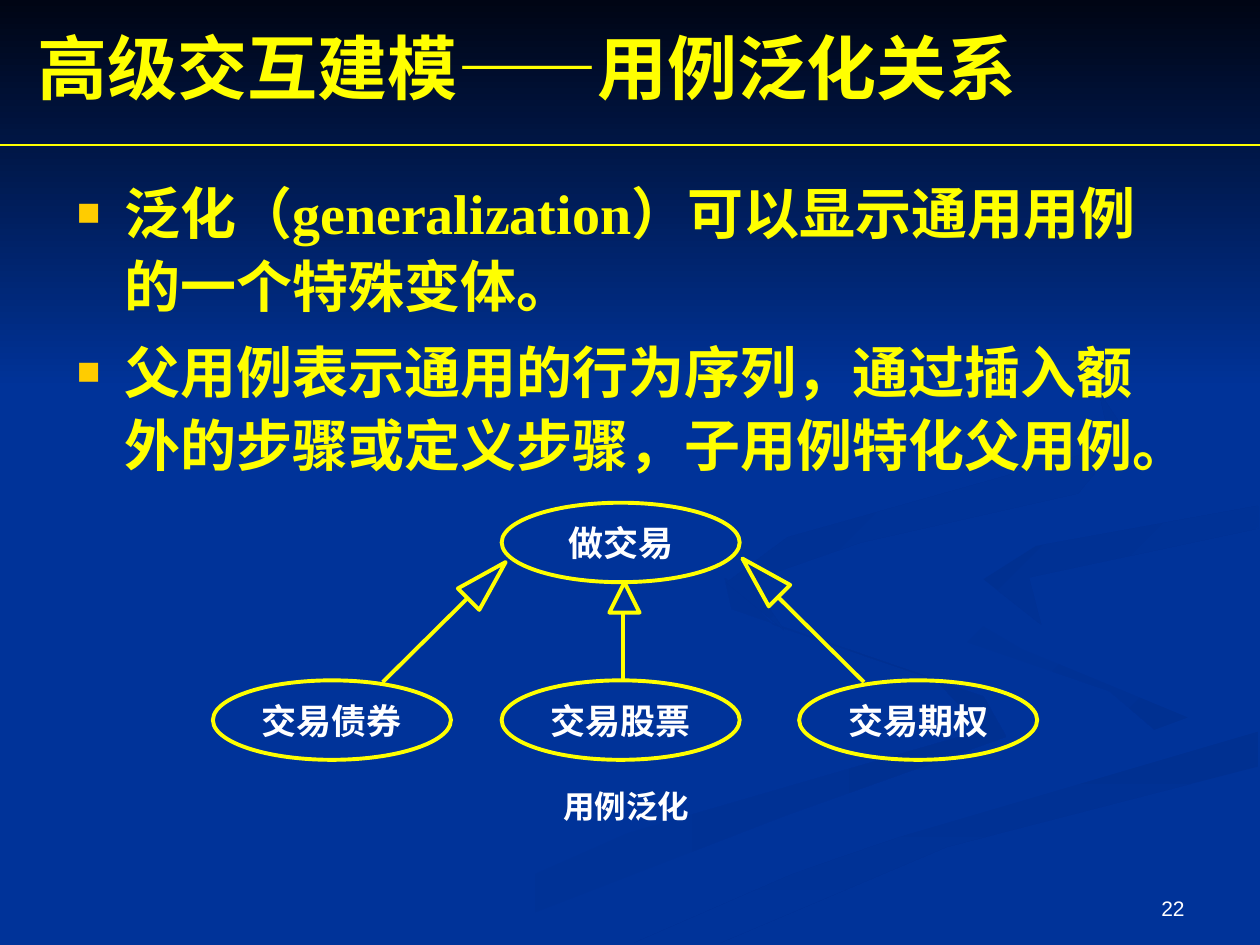
from dataclasses import dataclass

from lxml.etree import SubElement
from pptx import Presentation
from pptx.dml.color import RGBColor
from pptx.enum.shapes import MSO_CONNECTOR as Connector, MSO_SHAPE as Shape
from pptx.enum.text import MSO_ANCHOR as Anchor, MSO_AUTO_SIZE as AutoSize, PP_ALIGN as Align
from pptx.oxml.ns import qn
from pptx.util import Pt


@dataclass(frozen=True)
class Theme:
    blue: str = "003399"
    shade: str = "003091"
    night: str = "000514"
    yellow: str = "FFFF00"
    white: str = "FFFFFF"
    bullet: str = "FFCC00"
    serif: str = "Times New Roman"
    sans: str = "Arial"
    title: float = 40
    body: float = 32
    case: float = 20
    caption: float = 18
    number: float = 12
    hairline: float = 0.75
    stroke: float = 2.25


@dataclass(frozen=True)
class Box:
    left: float
    top: float
    width: float
    height: float

    def inner(self, x, y, width, height):
        return Box(self.left + x, self.top + y, width, height)

    def lengths(self):
        return [Pt(v) for v in (self.left, self.top, self.width, self.height)]


THEME = Theme()

RIBBONS = [
    (THEME.blue, THEME.shade, 0, [
        (562, 398), (442, 357), (414, 330), (418, 348), (534, 388), (562, 417),
        (359, 476), (216, 539), (260, 539), (449, 466), (575, 421)]),
    (THEME.blue, THEME.shade, 45, [
        (679, 410), (584, 371), (521, 334), (544, 364), (634, 395), (661, 418), (644, 436)]),
    (THEME.shade, THEME.blue, 90, [
        (362, 539), (411, 539), (541, 484), (719, 438), (719, 418), (550, 466), (454, 499)]),
    (THEME.blue, THEME.blue, 0, [
        (522, 334), (585, 371), (679, 410), (535, 463), (343, 539), (501, 482),
        (719, 418), (719, 387), (579, 349), (570, 322), (719, 279), (544, 311)]),
    (THEME.shade, THEME.blue, 45, [
        (562, 331), (595, 357), (588, 330), (719, 302), (719, 289), (592, 312)]),
    (THEME.shade, THEME.blue, 45, [
        (492, 310), (616, 282), (644, 248), (615, 204), (549, 168), (626, 215),
        (635, 255), (450, 307), (415, 333), (448, 360), (429, 332)]),
]


def rgb(color):
    return RGBColor.from_string(color)


def style(run, size, color, font=THEME.serif, bold=True):
    run.font.size, run.font.name, run.font.bold = Pt(size), font, bold
    run.font.color.rgb = rgb(color)


def paint(shape, start, end, angle):
    shape.shadow.inherit = False
    shape.line.fill.background()
    if start == end:
        shape.fill.solid()
        shape.fill.fore_color.rgb = rgb(start)
        return
    shape.fill.gradient()
    shape.fill.gradient_angle = (360 - angle) % 360
    for stop, color in zip(shape.fill.gradient_stops, (start, end)):
        stop.color.rgb = rgb(color)


def add_outline(slide, kind, box):
    outline = slide.shapes.add_shape(kind, *box.lengths())
    outline.shadow.inherit = False
    outline.fill.background()
    outline.line.color.rgb = rgb(THEME.yellow)
    outline.line.width = Pt(THEME.stroke)
    return outline


def add_line(slide, box, start, end, width):
    points = [Pt(v) for x, y in (start, end) for v in (box.left + x, box.top + y)]
    line = slide.shapes.add_connector(Connector.STRAIGHT, *points)
    line.line.color.rgb = rgb(THEME.yellow)
    line.line.width = Pt(width)
    SubElement(line.element.spPr, qn("a:effectLst"))


def add_label(slide, box, text, size, **font):
    label = slide.shapes.add_textbox(*box.lengths())
    label.text_frame.word_wrap = True
    label.text_frame.text = text
    style(label.text_frame.paragraphs[0].runs[0], size, THEME.white, **font)
    return label.text_frame


def place(slide, placeholder, box, anchor):
    slide.shapes.element.append(placeholder.element)
    placeholder.left, placeholder.top, placeholder.width, placeholder.height = box.lengths()
    frame = placeholder.text_frame
    frame.auto_size, frame.vertical_anchor, frame.word_wrap = AutoSize.NONE, anchor, True
    return frame


def build_backdrop(slide, box):
    slide.background.fill.solid()
    slide.background.fill.fore_color.rgb = rgb(THEME.blue)
    for start, end, angle, points in RIBBONS:
        (x, y), *rest = [(box.left + px, box.top + py) for px, py in points]
        builder = slide.shapes.build_freeform(x, y, scale=Pt(1))
        builder.add_line_segments(rest, close=True)
        paint(builder.convert_to_shape(), start, end, angle)
    sky = slide.shapes.add_shape(Shape.RECTANGLE, *box.inner(0, 0, box.width, 222).lengths())
    paint(sky, THEME.night, THEME.blue, 90)


def build_heading(slide, box):
    heading = place(slide, slide.shapes.title, box.inner(14.4, 10, 648, 55.5), Anchor.MIDDLE)
    paragraph = heading.paragraphs[0]
    paragraph.alignment = Align.LEFT
    for text, font in (("高级交互建模", THEME.serif), ("——", THEME.sans), ("用例泛化关系", THEME.serif)):
        run = paragraph.add_run()
        run.text = text
        style(run, THEME.title, THEME.yellow, font)
    add_line(slide, box, (0, box.height), (box.width, box.height), THEME.hairline)


def build_points(slide, box):
    points = place(slide, slide.placeholders[1], box, Anchor.TOP)
    points.text = ("泛化（generalization）可以显示通用用例的一个特殊变体。\n"
                   "父用例表示通用的行为序列，通过插入额外的步骤或定义步骤，子用例特化父用例。")
    for index, paragraph in enumerate(points.paragraphs):
        props = paragraph._p.get_or_add_pPr()
        props.set("marL", str(Pt(27)))
        props.set("indent", str(-Pt(27)))
        SubElement(SubElement(props, qn("a:buClr")), qn("a:srgbClr"), val=THEME.bullet)
        SubElement(props, qn("a:buSzPct"), val="70000")
        SubElement(props, qn("a:buChar"), char="■")
        paragraph.line_spacing = 1.1
        paragraph.space_before = Pt(THEME.body * 0.2 if index else 0)
        style(paragraph.runs[0], THEME.body, THEME.yellow)


def build_use_cases(slide, box):
    width, height = 136, 45.4
    middle, row = 165, 101.5
    cases = [("做交易", middle, 0), ("交易债券", 0, row),
             ("交易股票", middle, row), ("交易期权", box.width - width, row)]
    for name, x, y in cases:
        case = add_outline(slide, Shape.OVAL, box.inner(x, y, width, height))
        frame = case.text_frame
        frame.text, frame.word_wrap, frame.vertical_anchor = name, False, Anchor.MIDDLE
        frame.paragraphs[0].alignment = Align.CENTER
        style(frame.paragraphs[0].runs[0], THEME.case, THEME.white)
    add_label(slide, box.inner(193, 159, 96.5, 29), "用例泛化", THEME.caption)
    arrows = [(226.5, 45.5, 17.3, 0, (234.5, 63.5), 234.5),
              (148, 29.5, 30, 45, (145.5, 54.5), 97),
              (304.5, 27.5, 30, 315, (323, 54), 372)]
    for x, y, length, rotation, neck, tail in arrows:
        head = add_outline(slide, Shape.ISOSCELES_TRIANGLE, box.inner(x, y, 17.3, length))
        head.rotation = rotation
        add_line(slide, box, neck, (tail, row + 1), THEME.stroke)


def build_page_number(slide, box):
    number = add_label(slide, box, "22", THEME.number, font=THEME.sans, bold=False)
    number.vertical_anchor = Anchor.BOTTOM
    number.paragraphs[0].alignment = Align.RIGHT


def main():
    deck = Presentation()
    deck.slide_width, deck.slide_height = Pt(720), Pt(540)
    slide = deck.slides.add_slide(deck.slide_layouts[1])
    build_backdrop(slide, Box(0, 0, 720, 540))
    build_page_number(slide, Box(516, 492, 168, 37.5))
    build_heading(slide, Box(0, 0, 720, 82.8))
    build_points(slide, Box(36.7, 94.3, 648, 215.3))
    build_use_cases(slide, Box(121.7, 287.3, 471, 188))
    deck.save("out.pptx")


if __name__ == "__main__":
    main()
